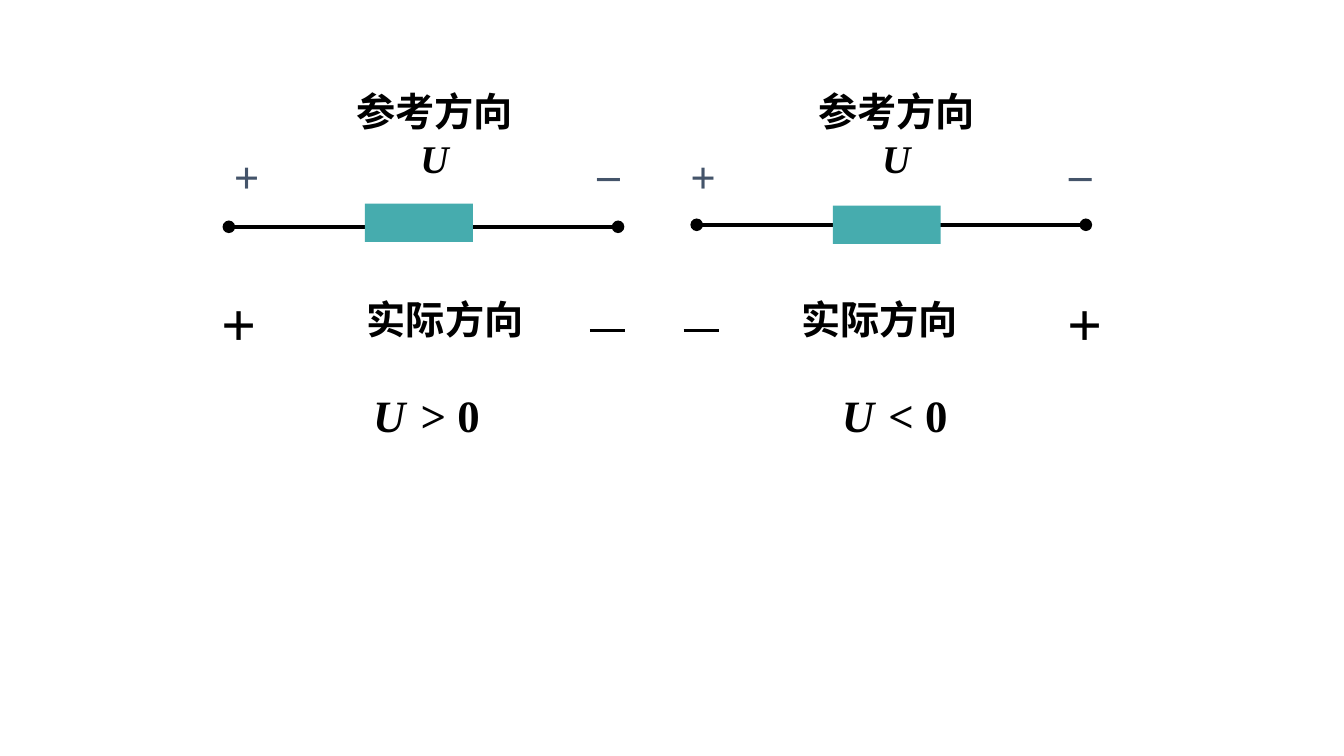
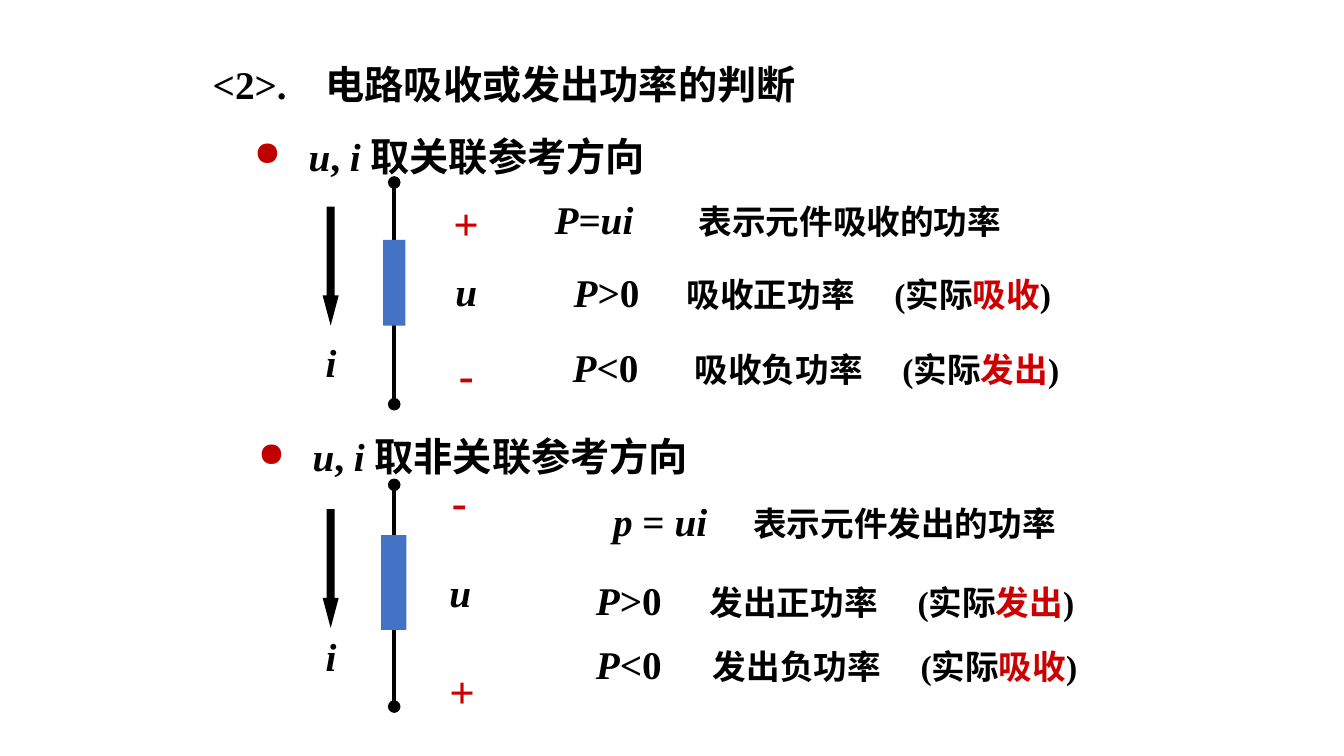
import pptx
import pptx.util
import pptx.dml.color
import pptx.enum.dml
import pptx.enum.lang
import pptx.enum.shapes
import pptx.enum.text
import pptx.oxml
import pptx.oxml.ns

Inches = pptx.util.Inches
Pt = pptx.util.Pt
RGB = pptx.dml.color.RGBColor
ALIGN = pptx.enum.text.PP_ALIGN
ANCHOR = pptx.enum.text.MSO_ANCHOR
SHAPE = pptx.enum.shapes.MSO_SHAPE
qn = pptx.oxml.ns.qn

# Shared style
BLACK = RGB(0x00, 0x00, 0x00)
SLATE = RGB(0x44, 0x54, 0x6A)
TEAL = RGB(0x46, 0xAC, 0xAE)
BLUE = RGB(0x44, 0x72, 0xC4)
RED = RGB(0xCC, 0x00, 0x00)
BULLET_RED = "C00000"
FONT = "Times New Roman"
LABEL_SIZE, NOTE_SIZE, SIGN_SIZE, BIG_SIGN_SIZE = 28, 24, 32, 44


# Text helpers
def style_run(r, size=LABEL_SIZE, color=BLACK, italic=False):
    r.font.name = FONT
    r.font.size = Pt(size)
    r.font.bold = True
    r.font.italic = italic
    r.font.color.rgb = color
    r.font.language_id = pptx.enum.lang.MSO_LANGUAGE_ID.SIMPLIFIED_CHINESE


def setup_frame(tf, wrap=True, anchor=ANCHOR.MIDDLE):
    tf.word_wrap = wrap
    tf.auto_size = pptx.enum.text.MSO_AUTO_SIZE.SHAPE_TO_FIT_TEXT
    tf.vertical_anchor = anchor


def add_box(s, x, y, w, h, wrap=True, anchor=ANCHOR.MIDDLE):
    tf = s.shapes.add_textbox(Inches(x), Inches(y), Inches(w), Inches(h)).text_frame
    setup_frame(tf, wrap, anchor)
    return tf


def add_label(s, text, x, y, w, h, wrap=True, anchor=ANCHOR.MIDDLE, **style):
    """Centred text in one style."""
    tf = add_box(s, x, y, w, h, wrap, anchor)
    tf.text = text
    tf.paragraphs[0].alignment = ALIGN.CENTER
    style_run(tf.paragraphs[0].runs[0], **style)
    return tf


def add_runs(p, *parts):
    """Each part is (text, style settings)."""
    p.alignment = ALIGN.LEFT
    for text, style in parts:
        r = p.add_run()
        r.text = text
        style_run(r, **style)


def set_tabs(p, *stops):
    tabs = pptx.oxml.parse_xml("<a:tabLst %s/>" % pptx.oxml.ns.nsdecls("a"))
    for stop in stops:
        tab = tabs.makeelement(qn("a:tab"), {"pos": str(Inches(stop)), "algn": "l"})
        tabs.append(tab)
    p._p.get_or_add_pPr().append(tabs)


def set_bullet(p, indent):
    pPr = p._p.get_or_add_pPr()
    pPr.set("marL", str(Inches(indent)))
    pPr.set("indent", str(-Inches(indent)))
    ns = pptx.oxml.ns.nsdecls("a")
    for xml in (
        '<a:buClr %s><a:srgbClr val="%s"/></a:buClr>' % (ns, BULLET_RED),
        '<a:buSzPct %s val="86000"/>' % ns,
        '<a:buChar %s char="●"/>' % ns,
    ):
        pPr.append(pptx.oxml.parse_xml(xml))


# Drawing helpers
def add_block(s, kind, x, y, w, h, color):
    sp = s.shapes.add_shape(kind, Inches(x), Inches(y), Inches(w), Inches(h))
    sp.shadow.inherit = False
    sp.fill.solid()
    sp.fill.fore_color.rgb = color
    sp.line.fill.background()
    return sp


def add_line(s, x1, y1, x2, y2, width=3, ends=()):
    """Black line; ends names the ends that carry a dot."""
    line = s.shapes.add_connector(
        pptx.enum.shapes.MSO_CONNECTOR.STRAIGHT,
        Inches(x1), Inches(y1), Inches(x2), Inches(y2))
    line.line.color.rgb = BLACK
    line.line.width = Pt(width)
    ln = line.get_or_add_ln()
    for end in ends:
        ln.append(ln.makeelement(qn("a:" + end), {"type": "oval"}))
    spPr = line._element.spPr
    spPr.append(spPr.makeelement(qn("a:effectLst"), {}))


# Slide 1: reference and actual direction of a voltage
def add_reference(s, x, w, plus_x, minus_x, sign_w):
    tf = add_label(s, "参考方向", x, 0.82, w, 1.03)
    p = tf.add_paragraph()
    p.text = "U"
    p.alignment = ALIGN.CENTER
    style_run(p.runs[0], italic=True)
    for sign, left, top in (("+", plus_x, 1.43), ("–", minus_x, 1.4)):
        add_label(s, sign, left, top, sign_w, 0.63, size=SIGN_SIZE, color=SLATE)


def add_actual(s, x, plus_x, minus_x):
    add_label(s, "实际方向", x, 2.88, 1.87, 0.57)
    add_label(s, "+", plus_x, 2.78, 1.2, 0.83, size=BIG_SIGN_SIZE)
    add_line(s, minus_x, 3.28, minus_x + 0.35, 3.28, width=2.25)


def add_resistor(s, left, right, y, block_x, block_y):
    """Wires run from under the block to the dotted terminals."""
    block_w = 1.07
    add_line(s, block_x + 0.11, y, left, y, ends=["tailEnd"])
    add_line(s, block_x + block_w - 0.15, y, right, y, ends=["tailEnd"])
    add_block(s, SHAPE.RECTANGLE, block_x, block_y, block_w, 0.38, TEAL)


def add_condition(s, x, relation, relation_x):
    add_label(s, "U", x, 3.8, 0.52, 0.63, wrap=False, size=SIGN_SIZE, italic=True)
    add_label(s, relation, relation_x, 3.8, 0.79, 0.63, wrap=False, size=SIGN_SIZE)


def build_voltage(prs):
    s = prs.slides.add_slide(prs.slide_layouts[6])
    # Left: both directions agree
    add_reference(s, 3.43, 1.76, 1.99, 5.58, 0.91)
    add_resistor(s, 2.27, 6.13, 2.25, 3.62, 2.02)
    add_actual(s, 3.48, 1.77, 5.85)
    add_condition(s, 3.6, "> 0", 4.07)
    # Right: directions are opposite
    add_reference(s, 7.97, 1.84, 6.54, 10.28, 0.87)
    add_resistor(s, 6.91, 10.77, 2.23, 8.26, 2.04)
    add_actual(s, 7.79, 10.16, 6.78)
    add_condition(s, 8.25, "< 0", 8.71)


# Slide 2: absorbed or delivered power
def add_heading(s, text, x, y, w):
    tf = add_box(s, x, y, w, 0.57)
    tf.margin_left = Inches(0.14)
    p = tf.paragraphs[0]
    add_runs(p, ("u", dict(italic=True)), (", ", {}), ("i ", dict(italic=True)),
             (text, {}))
    set_bullet(p, 0.54)


def add_formula(s, formula, text, x, y, start, stop):
    """Formula, then its meaning at a tab stop."""
    tf = add_box(s, x, y, 5.08, 0.57)
    tf.margin_left = Inches(start - x)
    p = tf.paragraphs[0]
    add_runs(p, *formula, ("\t" + text, dict(size=NOTE_SIZE)))
    set_tabs(p, stop)


def add_case(s, relation, text, actual, x, y, w, start, stop):
    """Sign of P, its meaning, and what really happens."""
    note = dict(size=NOTE_SIZE)
    tf = add_box(s, x, y, w, 0.57)
    tf.margin_left = Inches(start - x)
    p = tf.paragraphs[0]
    add_runs(p, ("P", dict(italic=True)), (relation, {}),
             ("\t" + text + "\t(实际", note),
             (actual, dict(size=NOTE_SIZE, color=RED)), (")", note))
    set_tabs(p, stop, stop + 2.06)


def add_element(s, top, block, i_top, u_at, signs):
    """Vertical element with its current arrow and voltage signs."""
    add_line(s, 3.91, top, 3.91, top + 2.2, ends=["headEnd", "tailEnd"])
    add_block(s, SHAPE.RECTANGLE, *block, BLUE)
    arrow = add_block(s, SHAPE.DOWN_ARROW, 3.2, top + 0.24, 0.16, 1.18, BLACK)
    arrow.adjustments[0] = 0.5
    arrow.adjustments[1] = 1.87
    for text, x, y in (("i", 2.97, i_top), ("u", *u_at)):
        add_label(s, text, x, y, 0.63, 0.57, anchor=ANCHOR.TOP, italic=True)
    for sign, x, y in signs:
        add_label(s, sign, x, y, 0.63, 0.63, anchor=ANCHOR.TOP,
                  size=SIGN_SIZE, color=RED)


def build_power(prs):
    s = prs.slides.add_slide(prs.slide_layouts[5])
    title = s.shapes.title
    title.left, title.top = Inches(2.01), Inches(0.55)
    title.width, title.height = Inches(6.65), Inches(0.57)
    setup_frame(title.text_frame)
    p = title.text_frame.paragraphs[0]
    add_runs(p, ("<2>.\t电路吸收或发出功率的判断", {}))
    set_tabs(p, 1.12)

    # Associated reference directions
    add_heading(s, "取关联参考方向", 2.38, 1.26, 4.21)
    add_element(s, 1.81, (3.8, 2.38, 0.22, 0.85), 3.31, (4.31, 2.6),
                (("+", 4.31, 1.89), ("-", 4.31, 3.39)))
    add_formula(s, [("P=ui", dict(italic=True))], "表示元件吸收的功率",
                5.17, 1.89, 5.5, 1.43)
    add_case(s, ">0", "吸收正功率", "吸收", 5.42, 2.61, 5.42, 5.69, 1.12)
    add_case(s, "<0", "吸收负功率", "发出", 5.49, 3.35, 5.35, 5.68, 1.21)

    # Non-associated reference directions
    add_heading(s, "取非关联参考方向", 2.42, 4.24, 4.72)
    add_element(s, 4.81, (3.78, 5.31, 0.25, 0.94), 6.22, (4.25, 5.59),
                (("-", 4.24, 4.65), ("+", 4.27, 6.54)))
    add_formula(s, [("p ", dict(italic=True)), ("= ", {}), ("ui", dict(italic=True))],
                "表示元件发出的功率", 5.72, 4.88, 6.08, 1.39)
    add_case(s, ">0", "发出正功率", "发出", 5.65, 5.67, 5.42, 5.91, 1.13)
    add_case(s, "<0", "发出负功率", "吸收", 5.74, 6.3, 5.26, 5.91, 1.16)


def main():
    prs = pptx.Presentation()
    prs.slide_width, prs.slide_height = Inches(13.33), Inches(7.5)
    build_voltage(prs)
    build_power(prs)
    prs.save("out.pptx")


if __name__ == "__main__":
    main()
